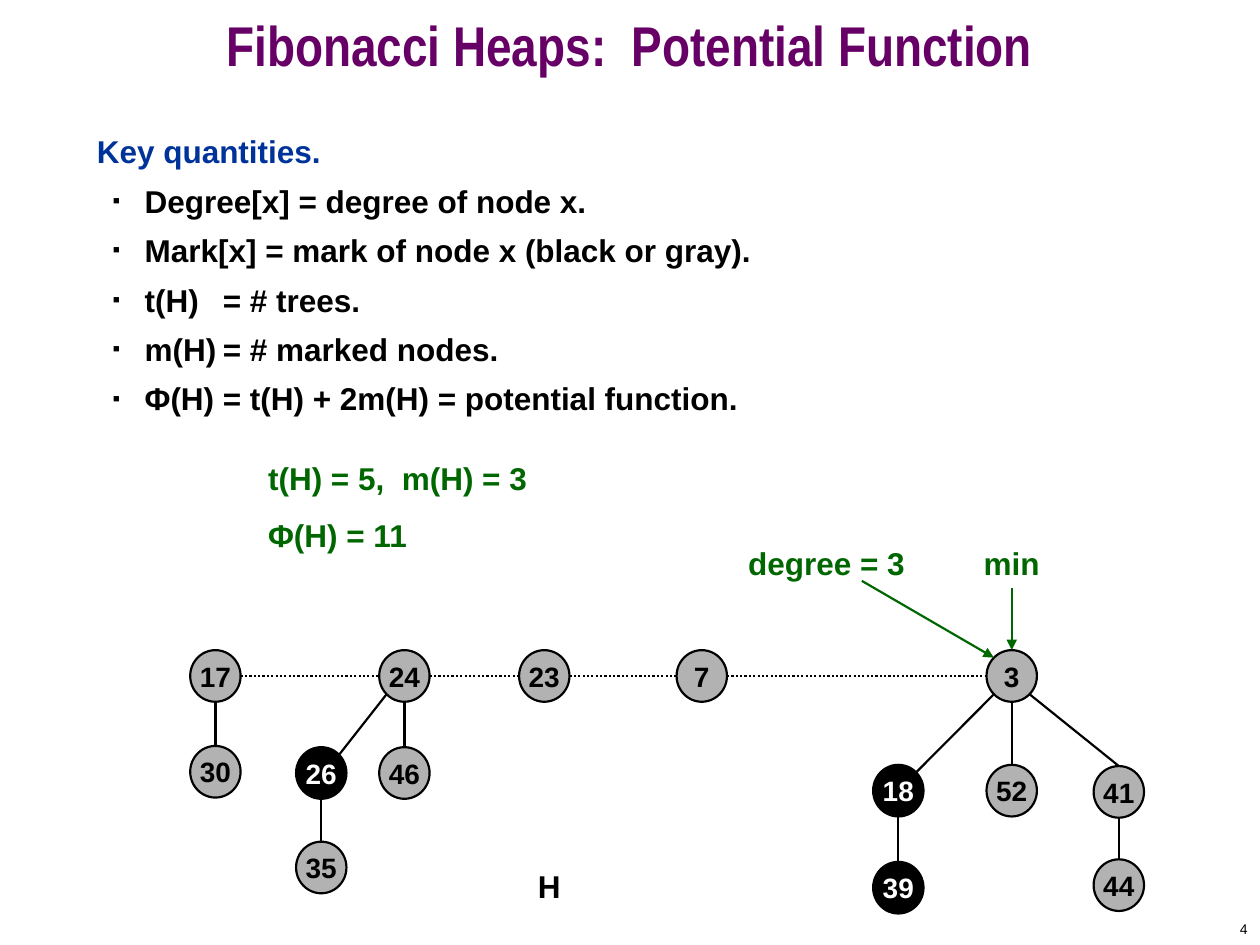
from lxml import etree
from pptx import Presentation
from pptx.dml.color import RGBColor
from pptx.enum.dml import MSO_LINE
from pptx.enum.shapes import MSO_CONNECTOR, MSO_SHAPE
from pptx.enum.text import MSO_ANCHOR, PP_ALIGN
from pptx.oxml.ns import qn
from pptx.util import Inches, Pt

BLACK = RGBColor(0x00, 0x00, 0x00)
WHITE = RGBColor(0xFF, 0xFF, 0xFF)
GRAY = RGBColor(0xB2, 0xB2, 0xB2)
MARKED = RGBColor(0x01, 0x00, 0x00)
PURPLE = RGBColor(0x66, 0x00, 0x66)
BLUE = RGBColor(0x00, 0x33, 0x99)
GREEN = RGBColor(0x00, 0x66, 0x00)

LEFT, CENTER, RIGHT = PP_ALIGN.LEFT, PP_ALIGN.CENTER, PP_ALIGN.RIGHT
TOP, MIDDLE = MSO_ANCHOR.TOP, MSO_ANCHOR.MIDDLE
OVAL = MSO_SHAPE.OVAL
STRAIGHT = MSO_CONNECTOR.STRAIGHT
DOTTED = MSO_LINE.ROUND_DOT

NODE_WIDTH, NODE_HEIGHT = 0.4, 0.41
DIAGONAL = 0.71

# key: (left, top)
NODES = {
    17: (1.51, 5.16), 24: (3.01, 5.16), 23: (4.12, 5.16), 7: (5.37, 5.16), 3: (7.83, 5.16),
    30: (1.51, 5.92), 26: (2.35, 5.93), 46: (3.01, 5.93), 35: (2.35, 6.68),
    18: (6.93, 6.07), 52: (7.83, 6.07), 41: (8.68, 6.08), 39: (6.93, 6.84), 44: (8.68, 6.82),
}
MARKED_KEYS = {26, 18, 39}
ROOTS = [17, 24, 23, 7, 3]

# Unit directions from a node's centre to a point on its rim
ABOVE, BELOW, BEFORE, AFTER = (0, -1), (0, 1), (-1, 0), (1, 0)
UPPER_LEFT, UPPER_RIGHT = (-DIAGONAL, -DIAGONAL), (DIAGONAL, -DIAGONAL)
LOWER_LEFT, LOWER_RIGHT = (-DIAGONAL, DIAGONAL), (DIAGONAL, DIAGONAL)

STRAIGHT_EDGES = [(17, 30), (24, 46), (26, 35), (3, 52), (18, 39), (41, 44)]
SLANTED_EDGES = [
    (24, LOWER_LEFT, 26, UPPER_RIGHT),
    (3, LOWER_LEFT, 18, UPPER_RIGHT),
    (3, LOWER_RIGHT, 41, ABOVE),
]

DEFINITIONS = [
    "Degree[x] = degree of node x.",
    "Mark[x] = mark of node x (black or gray).",
    "t(H)\t= # trees.",
    "m(H)\t= # marked nodes.",
    "Φ(H)\t= t(H) + 2m(H) = potential function.",
]


def rim(key, direction):
    left, top = NODES[key]
    return (left + NODE_WIDTH / 2 * (1 + direction[0]),
            top + NODE_HEIGHT / 2 * (1 + direction[1]))


def write(para, text, size=18, color=BLACK, bold=True, font="Arial",
          align=LEFT, before=0, spacing=None):
    para.alignment = align
    para.space_before = Pt(before)
    if spacing:
        para.line_spacing = spacing
    span = para.add_run()
    span.text = text
    span.font.name = font
    span.font.size = Pt(size)
    span.font.bold = bold
    span.font.color.rgb = color


def add_bullet(para):
    """Give the paragraph a small square bullet and a tab stop at one inch."""
    props = para._p.get_or_add_pPr()
    props.set("marL", str(Inches(0.38)))
    props.set("indent", str(Inches(-0.25)))
    color = etree.SubElement(props, qn("a:buClr"))
    etree.SubElement(color, qn("a:srgbClr"), val=str(BLACK))
    etree.SubElement(props, qn("a:buSzPct"), val="35000")
    etree.SubElement(props, qn("a:buFont"), typeface="Arial")
    etree.SubElement(props, qn("a:buChar"), char="■")
    tabs = etree.SubElement(props, qn("a:tabLst"))
    etree.SubElement(tabs, qn("a:tab"), pos=str(Inches(1)), algn="l")


class HeapPage:
    line_width = Pt(1.25)

    def __init__(self, deck):
        self.shapes = deck.slides.add_slide(deck.slide_layouts[6]).shapes

    def text(self, area, *lines, anchor=TOP, wrap=True, **style):
        box = self.shapes.add_textbox(*(Inches(value) for value in area))
        frame = box.text_frame
        frame.word_wrap = wrap
        frame.vertical_anchor = anchor
        for index, line in enumerate(lines):
            para = frame.add_paragraph() if index else frame.paragraphs[0]
            write(para, line, **style)
        return frame

    def node(self, key):
        left, top = NODES[key]
        marked = key in MARKED_KEYS
        oval = self.shapes.add_shape(OVAL, Inches(left), Inches(top),
                                     Inches(NODE_WIDTH), Inches(NODE_HEIGHT))
        oval.shadow.inherit = False
        oval.fill.solid()
        oval.fill.fore_color.rgb = MARKED if marked else GRAY
        oval.line.color.rgb = BLACK
        oval.line.width = self.line_width
        frame = oval.text_frame
        frame.word_wrap = False
        frame.vertical_anchor = MIDDLE
        write(frame.paragraphs[0], str(key), size=16, align=CENTER,
              color=WHITE if marked else BLACK)

    def line(self, start, end, color=BLACK, dash=None, arrow=False):
        link = self.shapes.add_connector(
            STRAIGHT, *(Inches(value) for value in (*start, *end)))
        link.line.color.rgb = color
        link.line.width = self.line_width
        if dash:
            link.line.dash_style = dash
        if arrow:
            etree.SubElement(link.line._get_or_add_ln(), qn("a:tailEnd"), type="triangle")
        etree.SubElement(link._element.spPr, qn("a:effectLst"))


def main():
    deck = Presentation()
    deck.slide_width, deck.slide_height = Inches(10), Inches(7.5)
    page = HeapPage(deck)

    page.text((7.92, 7.25, 2.08, 0.25), "4", anchor=MIDDLE, wrap=False,
              size=8, bold=False, align=RIGHT)
    page.text((0, 0, 10, 0.83), "Fibonacci Heaps:  Potential Function", anchor=MIDDLE,
              size=32, color=PURPLE, font="Arial Narrow", align=CENTER, spacing=0.7)

    body = page.text((0.67, 1, 8.58, 2.5), "Key quantities.", color=BLUE, before=4.5)
    for definition in DEFINITIONS:
        para = body.add_paragraph()
        write(para, definition, before=4.5, spacing=1.1)
        add_bullet(para)

    for left_root, right_root in zip(ROOTS, ROOTS[1:]):
        page.line(rim(left_root, AFTER), rim(right_root, BEFORE), dash=DOTTED)
    for parent, child in STRAIGHT_EDGES:
        page.line(rim(parent, BELOW), rim(child, ABOVE))
    for parent, parent_side, child, child_side in SLANTED_EDGES:
        page.line(rim(parent, parent_side), rim(child, child_side))
    for key in NODES:
        page.node(key)

    page.text((4.17, 6.83, 0.42, 0.4), "H", before=11.2)
    page.text((2.03, 3.59, 2.5, 0.86), "t(H) = 5,  m(H) = 3", "Φ(H) = 11",
              color=GREEN, before=11.2)

    for label, center in (("min", 8.03), ("degree = 3", 6.56)):
        page.text((center - 0.8, 4.26, 1.6, 0.41), label, anchor=MIDDLE,
                  color=GREEN, align=CENTER)
    page.line((8.03, 4.67), rim(3, ABOVE), color=GREEN, arrow=True)
    page.line((6.84, 4.61), rim(3, UPPER_LEFT), color=GREEN, arrow=True)

    deck.save("out.pptx")


if __name__ == "__main__":
    main()
